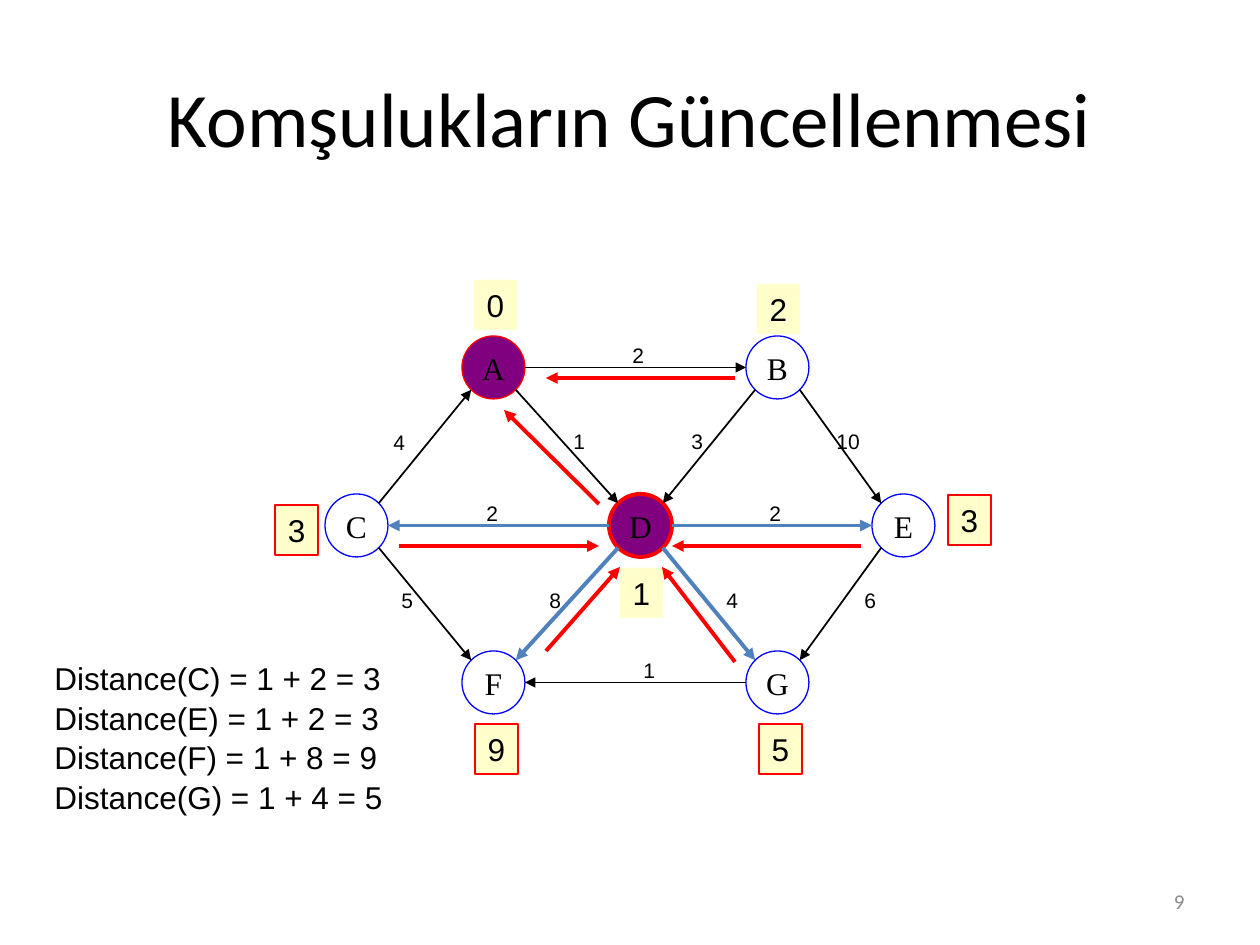
from math import sqrt

from lxml import etree
from pptx import Presentation
from pptx import util as u
from pptx.dml.color import RGBColor
from pptx.enum import shapes, text
from pptx.oxml import ns

SCALE = 914400 / 126
BLACK = RGBColor(0x00, 0x00, 0x00)
GRAY = RGBColor(0x89, 0x89, 0x89)
RED = RGBColor(0xFF, 0x00, 0x00)
BLUE = RGBColor(0x00, 0x00, 0xFF)
STEEL = RGBColor(0x4F, 0x81, 0xBD)
PURPLE = RGBColor(0x80, 0x00, 0x80)
CREAM = RGBColor(0xFF, 0xFF, 0xCC)

NODE = 63
NODES = {"A": (137, 0), "B": (421, 0), "C": (0, 158), "D": (284, 158),
         "E": (547, 158), "F": (137, 315), "G": (421, 315)}
VISITED = {"A": 0.75, "D": 2.25}
EDGES = [("G", "F", "1", 306, 315), ("D", "C", "2", 149, 158),
         ("A", "B", "2", 295, 0), ("D", "E", "2", 432, 158),
         ("B", "E", "10", 499, 86), ("E", "G", "6", 527, 245),
         ("A", "D", "1", 236, 86), ("B", "D", "3", 354, 86),
         ("C", "A", "4", 56, 87), ("C", "F", "5", 64, 245),
         ("D", "G", "4", 389, 245), ("D", "F", "8", 212, 245)]
DISTANCES = [("0", 149, -56, False), ("2", 432, -52, False),
             ("3", -50, 169, True), ("3", 623, 159, True),
             ("1", 295, 232, False), ("9", 150, 388, True),
             ("5", 434, 388, True)]
BACK_ARROWS = [((274, 168), (179, 74)), ((410, 42), (221, 42)),
               ((536, 210), (347, 210)), ((410, 326), (337, 231)),
               ((221, 315), (295, 231)), ((74, 210), (274, 210))]
UPDATES = ["Distance(C) = 1 + 2 = 3", "Distance(E) = 1 + 2 = 3",
           "Distance(F) = 1 + 8 = 9", "Distance(G) = 1 + 4 = 5"]


def px(*lengths):
    """Turn px lengths into EMU."""
    return [u.Emu(round(length * SCALE)) for length in lengths]


def write(paragraph, words, font, size, color=BLACK):
    """Add one formatted run."""
    run = paragraph.add_run()
    run.text = words
    run.font.name, run.font.size = font, u.Pt(size)
    run.font.color.rgb = color


def add_label(slide, box, words, font, size, color=BLACK, wrap=False):
    """Place a text box with one run, centred vertically."""
    frame = slide.shapes.add_textbox(*px(*box)).text_frame
    frame.word_wrap = wrap
    frame.vertical_anchor = text.MSO_ANCHOR.MIDDLE
    write(frame.paragraphs[0], words, font, size, color)
    return frame


def add_block(slide, kind, box, words, font, fill, line, width, anchor):
    """Place a filled shape holding one centred run."""
    block = slide.shapes.add_shape(kind, *px(*box))
    block.shadow.inherit = False
    if fill is None:
        block.fill.background()
    else:
        block.fill.solid()
        block.fill.fore_color.rgb = fill
    if line is None:
        block.line.fill.background()
    else:
        block.line.color.rgb, block.line.width = line, u.Pt(width)
    frame = block.text_frame
    frame.word_wrap = False
    frame.vertical_anchor = anchor
    frame.paragraphs[0].alignment = text.PP_ALIGN.CENTER
    write(frame.paragraphs[0], words, font, 18)


def add_arrow(slide, start, end, color, width):
    """Draw a straight arrow with a triangle at its end."""
    arrow = slide.shapes.add_connector(
        shapes.MSO_CONNECTOR.STRAIGHT, *px(*start, *end))
    arrow.line.color.rgb, arrow.line.width = color, u.Pt(width)
    etree.SubElement(arrow.line._get_or_add_ln(), ns.qn("a:tailEnd"), type="triangle")
    etree.SubElement(arrow._element.spPr, ns.qn("a:effectLst"))


def port(node, other):
    """Find the point on a node's rim that faces another node."""
    (x, y), (other_x, other_y) = NODES[node], NODES[other]
    across = (other_x > x) - (other_x < x)
    down = (other_y > y) - (other_y < y)
    reach = NODE / 2 / sqrt(across ** 2 + down ** 2)
    return x + NODE / 2 + across * reach, y + NODE / 2 + down * reach


def add_graph(slide, left, top):
    """Draw the weighted graph, its distances and its back arrows."""
    def shift(point):
        return left + point[0], top + point[1]

    for name, corner in NODES.items():
        visited = name in VISITED
        add_block(slide, shapes.MSO_SHAPE.OVAL, (*shift(corner), NODE, NODE),
                  name, "Times New Roman", PURPLE if visited else None,
                  RED if visited else BLUE, VISITED.get(name, 0.75),
                  text.MSO_ANCHOR.MIDDLE)
    for start, end, weight, x, y in EDGES:
        color, width = (STEEL, 2.25) if start == "D" else (BLACK, 1)
        add_arrow(slide, shift(port(start, end)), shift(port(end, start)),
                  color, width)
        add_label(slide, (*shift((x, y)), 25 + 12 * len(weight), 38),
                  weight, "Arial", 12)
    for distance, x, y, updated in DISTANCES:
        add_block(slide, shapes.MSO_SHAPE.RECTANGLE, (*shift((x, y)), 43, 50),
                  distance, "Arial", CREAM, RED if updated else None, 1.25,
                  text.MSO_ANCHOR.TOP)
    for start, end in BACK_ARROWS:
        add_arrow(slide, shift(start), shift(end), RED, 2.25)


def add_title(slide, left, top, width, height):
    """Fill and place the title placeholder."""
    title = slide.shapes.title
    title.left, title.top, title.width, title.height = px(left, top, width, height)
    title.text_frame.vertical_anchor = text.MSO_ANCHOR.MIDDLE
    heading = title.text_frame.paragraphs[0]
    heading.alignment = text.PP_ALIGN.CENTER
    write(heading, "Komşulukların Güncellenmesi", "Calibri", 44)


def add_updates(slide, left, top, width, height):
    """List the updated distances, one a line."""
    frame = slide.shapes.add_textbox(*px(left, top, width, height)).text_frame
    frame.word_wrap = True
    lines = frame.paragraphs[0]
    lines.line_spacing = 1.05
    for index, update in enumerate(UPDATES):
        if index:
            lines.add_line_break()
        write(lines, update, "Arial", 18)


def add_page_number(slide, left, top, width, height):
    """Place the page number at the right of its box."""
    frame = add_label(slide, (left, top, width, height), "9", "Calibri", 12,
                      GRAY, wrap=True)
    frame.paragraphs[0].alignment = text.PP_ALIGN.RIGHT


def main():
    """Build and save the slide."""
    deck = Presentation()
    deck.slide_width, deck.slide_height = px(1260, 945)
    slide = deck.slides.add_slide(deck.slide_layouts[5])
    add_title(slide, 63, 38, 1134, 158)
    add_graph(slide, 325, 336)
    add_updates(slide, 42, 651, 375, 164)
    add_page_number(slide, 903, 876, 294, 50)
    deck.save("out.pptx")


if __name__ == "__main__":
    main()
